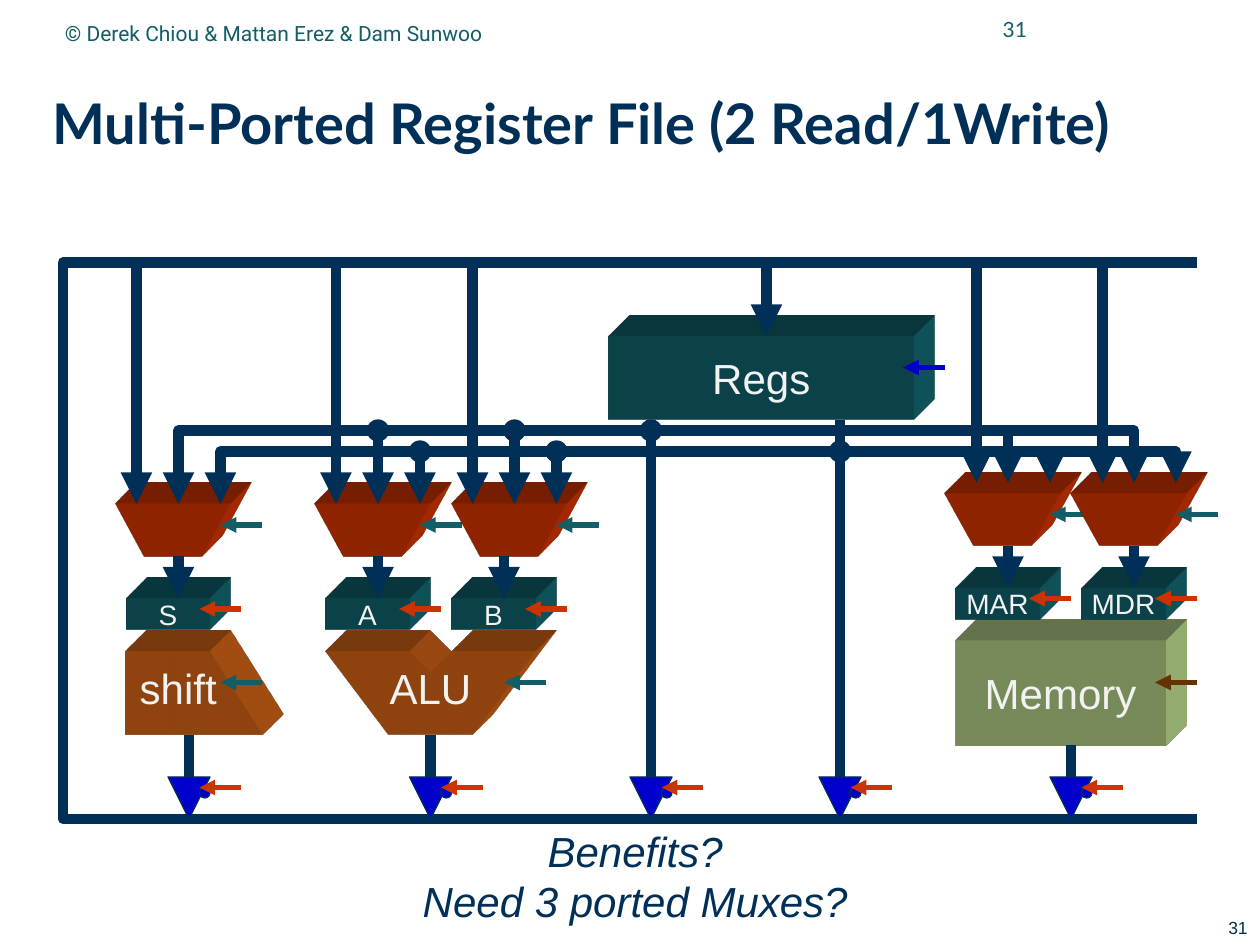
from dataclasses import dataclass

from lxml.etree import SubElement
from pptx import Presentation
from pptx.dml.color import RGBColor
from pptx.enum.shapes import MSO_CONNECTOR as Link, MSO_SHAPE as Shape
from pptx.enum.text import MSO_ANCHOR as Anchor, PP_ALIGN as Align
from pptx.oxml import parse_xml
from pptx.oxml.ns import nsdecls, qn
from pptx.util import Inches, Pt

COLUMNS, ROWS = 120, 90  # the page grid: twelve cells to the inch


@dataclass(frozen=True)
class Theme:
    navy: str = "003057"
    teal: str = "115E67"
    red: str = "CC3300"
    orange: str = "CB6015"
    green: str = "A9C47F"
    brown: str = "663300"
    blue: str = "0000CC"
    pale: str = "F2F2F2"
    title: int = 32
    large: int = 24
    label: int = 16
    header: int = 12
    number: int = 10
    wire: float = 6
    control: float = 3
    outline: float = 0.75


THEME = Theme()


def cells(*counts):
    return [round(Inches(1 / 12) * count) for count in counts]


# ---- Basic parts -------------------------------------------------------
def style_line(line, color, width, arrow=False):
    line.color.rgb = RGBColor.from_string(color)
    line.width = Pt(width)
    outline = line._get_or_add_ln()
    SubElement(outline, qn("a:round"))
    if arrow:
        SubElement(outline, qn("a:tailEnd"), type="triangle")


def style_solid(shape, color, line=None):
    shape.shadow.inherit = False
    shape.fill.solid()
    shape.fill.fore_color.rgb = RGBColor.from_string(color)
    if line:
        style_line(shape.line, line, THEME.outline)
    else:
        shape.line.fill.background()


def extrude(shape, color):
    """Give a shape an oblique depth towards the top right."""
    scene = (f'<a:scene3d {nsdecls("a")}><a:camera prst="legacyObliqueTopRight"/>'
             '<a:lightRig rig="legacyFlat3" dir="b"/></a:scene3d>')
    depth = (f'<a:sp3d {nsdecls("a")} extrusionH="430200" prstMaterial="legacyMatte">'
             '<a:bevelT w="13500" h="13500" prst="angle"/>'
             '<a:bevelB w="13500" h="13500" prst="angle"/>'
             f'<a:extrusionClr><a:srgbClr val="{color}"/></a:extrusionClr></a:sp3d>')
    for part in (scene, depth):
        shape._element.spPr.append(parse_xml(part))


def write(shape, text, size, color, font="Arial", align=Align.CENTER,
          anchor=Anchor.MIDDLE, wrap=False, bold=False, italic=False):
    frame = shape.text_frame
    frame.text = text
    frame.word_wrap = wrap
    frame.vertical_anchor = anchor
    for para in frame.paragraphs:
        para.alignment = align
        for span in para.runs:
            span.font.name, span.font.size = font, Pt(size)
            span.font.bold, span.font.italic = bold, italic
            span.font.color.rgb = RGBColor.from_string(color)


def add_text(page, box, text, size, color, **style):
    shape = page.shapes.add_textbox(*cells(*box))
    write(shape, text, size, color, **style)
    return shape


def add_block(page, box, color, text, size):
    shape = page.shapes.add_shape(Shape.RECTANGLE, *cells(*box))
    style_solid(shape, color)
    extrude(shape, color)
    write(shape, text, size, THEME.pale)


def outline_of(page, points, close):
    start, *rest = [cells(*point) for point in points]
    builder = page.shapes.build_freeform(*start, scale=1.0)
    builder.add_line_segments(rest, close=close)
    return builder.convert_to_shape()


def add_solid(page, left, top, points, color):
    shape = outline_of(page, [(left + x, top + y) for x, y in points], True)
    style_solid(shape, color)
    extrude(shape, color)


def add_path(page, points, arrow=True):
    shape = outline_of(page, points, False)
    shape.shadow.inherit = False
    shape.fill.background()
    style_line(shape.line, THEME.navy, THEME.wire, arrow)


def add_arrow(page, start, end, color=THEME.navy, width=THEME.wire):
    line = page.shapes.add_connector(Link.STRAIGHT, *cells(*start, *end))
    style_line(line.line, color, width, True)
    SubElement(line._element.spPr, qn("a:effectLst"))


def add_control(page, tip, y, color):
    add_arrow(page, (tip + 4, y), (tip, y), color, THEME.control)


def add_dot(page, x, y, size, fill):
    dot = page.shapes.add_shape(Shape.OVAL, *cells(x, y, size, size))
    style_solid(dot, fill, THEME.navy)


# ---- Regions -----------------------------------------------------------
def headings(page):
    title = add_text(page, (5, 6, 113, 11.75), "Multi-Ported Register File (2 Read/1Write)",
                     THEME.title, THEME.navy, font="Lato", align=Align.LEFT,
                     wrap=True, bold=True)
    frame = title.text_frame
    frame.margin_left = frame.margin_right = frame.margin_top = frame.margin_bottom = 0
    frame.paragraphs[0].line_spacing = 0.99
    add_text(page, (88, -0.25, 11, 6), "31", THEME.header, THEME.teal, font="Lato",
             align=Align.RIGHT, wrap=True)
    add_text(page, (5, 0.4, 68, 5.5), "© Derek Chiou & Mattan Erez & Dam Sunwoo",
             THEME.header, THEME.teal, font="Roboto", align=Align.LEFT, wrap=True)
    add_text(page, (92, 86.75, 28, 3.25), "31", THEME.number, THEME.navy,
             align=Align.RIGHT, anchor=Anchor.TOP, wrap=True)


def mux_lane(page, left, top, name, shift=1):
    """A multiplexer that feeds the named register below it."""
    register, below = left + shift, top + 9
    add_block(page, (register, below, 8, 3), THEME.teal, name, THEME.label)
    add_solid(page, left, top, [(0, 0), (2.75, 5), (8.25, 5), (11, 0)], THEME.red)
    add_arrow(page, (register + 5, top + 5), (register + 5, below))
    add_control(page, left + 10, top + 2, THEME.teal)
    add_control(page, register + 7, below + 1, THEME.red)


def bus_driver(page, x, start, bus):
    """A wire from a unit, through a tri-state driver, to the bus."""
    add_arrow(page, (x, start), (x, bus))
    gate = page.shapes.add_shape(Shape.ISOSCELES_TRIANGLE, *cells(x - 2, bus - 4, 4, 4))
    gate._element.spPr.xfrm.set("flipV", "1")
    style_solid(gate, THEME.blue, THEME.navy)
    add_dot(page, x + 1, bus - 3, 1, THEME.blue)
    add_control(page, x + 1, bus - 3, THEME.red)


def read_port(page, source, y, turns, taps, dots):
    """A read wire: end branches turn down, taps drop straight from it."""
    for x, end in turns:
        add_path(page, [(source, y), (x, y), (x, end)])
    for x, end in taps:
        add_arrow(page, (x, y), (x, end))
    for x in dots:
        add_dot(page, x - 1, y - 1, 2, THEME.navy)


def units(page, top):
    """The shifter, the ALU and the memory, with their control inputs."""
    add_solid(page, 12, top, [(0, 0), (0, 8), (13, 8), (8, 0)], THEME.orange)
    add_solid(page, 31, top, [(10, 2), (8, 0), (0, 0), (6, 8), (14, 8), (20, 0), (12, 0)],
              THEME.orange)
    for left, width, name in ((12.1, 9.75, "shift"), (35.9, 10.2, "ALU")):
        add_text(page, (left, top + 0.5, width, 6), name, THEME.large, THEME.pale,
                 anchor=Anchor.TOP)
    add_block(page, (91, top - 1, 20, 10), THEME.green, "Memory", THEME.large)
    for tip, color in ((21, THEME.teal), (48, THEME.teal), (110, THEME.brown)):
        add_control(page, tip, top + 3, color)


def datapath(page, top, bottom):
    units(page, 62)
    add_path(page, [(114, top), (6, top), (6, bottom), (114, bottom)], arrow=False)
    for x, start in ((18, 70), (41, 70), (62, 40), (80, 40), (102, 71)):
        bus_driver(page, x, start, bottom)

    # Register file
    add_block(page, (58, 32, 29, 8), THEME.teal, "Regs", THEME.large)
    add_control(page, 86, 35, THEME.blue)

    # Multiplexers with their registers
    for left, row, name, shift in ((11, 48, "S", 1), (30, 48, "A", 1), (43, 48, "B", 0),
                                   (90, 47, "MAR", 1), (102, 47, "MDR", 1)):
        mux_lane(page, left, row, name, shift)

    # Wires from the bus and from the two read ports
    for x, end in ((73, 32), (13, 48), (32, 48), (45, 48), (93, 46), (105, 46)):
        add_arrow(page, (x, top), (x, end))
    read_port(page, 62, 41, [(17, 48), (108, 46)], [(36, 48), (49, 48), (96, 46)],
              [36, 49, 62])
    read_port(page, 80, 43, [(21, 48), (112, 46)], [(40, 48), (53, 48), (100, 46)],
              [40, 53, 80])


def questions(page, box):
    add_text(page, box, "Benefits?\nNeed 3 ported Muxes?", THEME.large, THEME.navy,
             anchor=Anchor.TOP, italic=True)


def main():
    deck = Presentation()
    deck.slide_width, deck.slide_height = cells(COLUMNS, ROWS)
    page = deck.slides.add_slide(deck.slide_layouts[6])
    headings(page)
    datapath(page, top=25, bottom=78)
    questions(page, (39, 78, 43, 10.8))
    deck.save("out.pptx")


if __name__ == "__main__":
    main()
